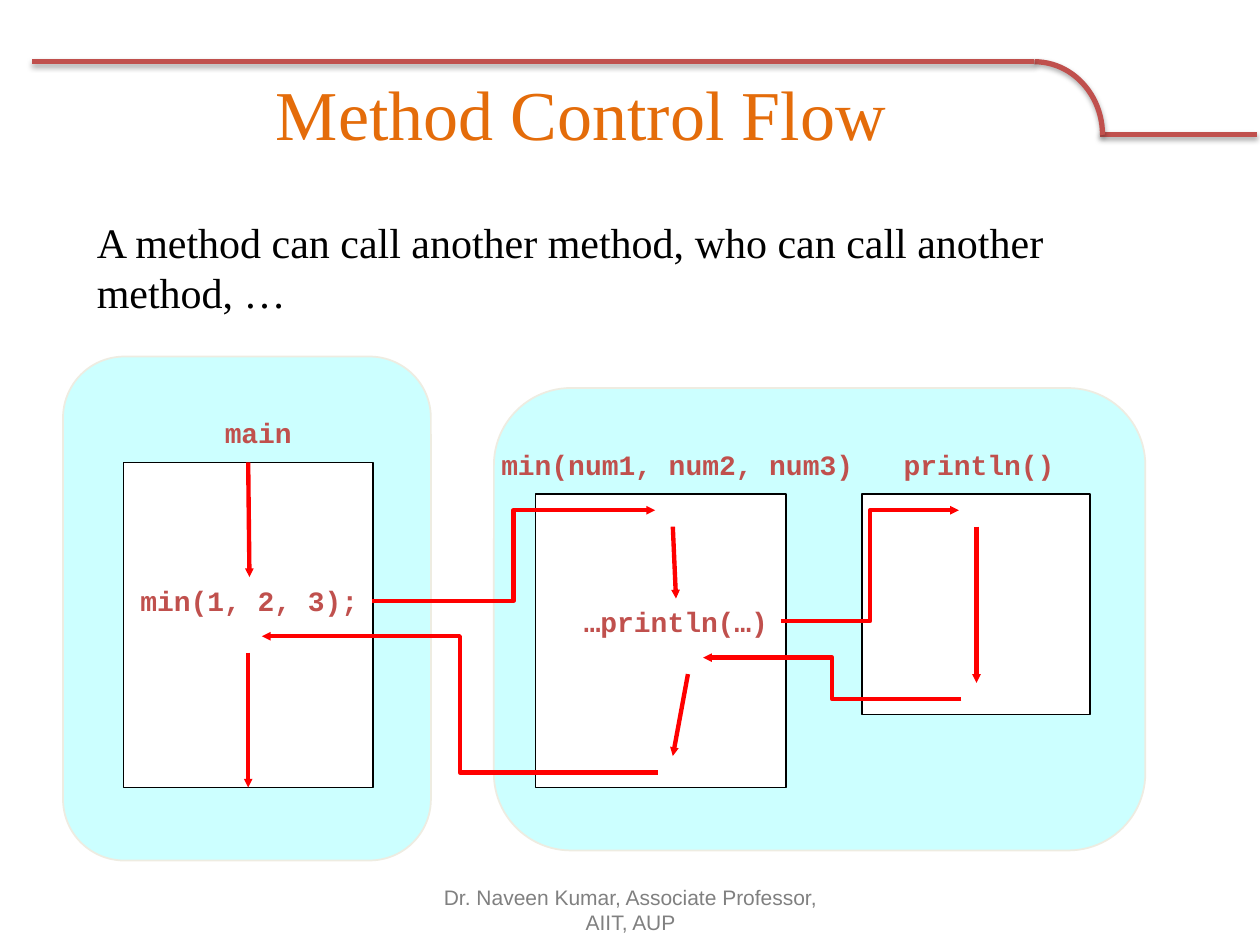
from dataclasses import dataclass

from lxml import etree
from pptx import Presentation
from pptx.dml.color import RGBColor
from pptx.enum.shapes import MSO_CONNECTOR, MSO_SHAPE
from pptx.enum.text import MSO_ANCHOR, PP_ALIGN
from pptx.oxml import parse_xml
from pptx.oxml.ns import nsdecls, qn
from pptx.util import Pt

STRAIGHT, ELBOW = MSO_CONNECTOR.STRAIGHT, MSO_CONNECTOR.ELBOW
ARC, RECT, PANEL = MSO_SHAPE.ARC, MSO_SHAPE.RECTANGLE, MSO_SHAPE.FLOWCHART_ALTERNATE_PROCESS
TOP, MIDDLE = MSO_ANCHOR.TOP, MSO_ANCHOR.MIDDLE
LEFT, CENTER = PP_ALIGN.LEFT, PP_ALIGN.CENTER
SITE_TOP, SITE_BOTTOM = 0, 2
EMU_PER_PX = 9144


@dataclass(frozen=True)
class Font:
    name: str
    size: int
    color: str
    bold: bool = False


@dataclass(frozen=True)
class Theme:
    rule: str = "C0504D"
    panel: str = "CCFFFF"
    panel_line: str = "EEECE1"
    frame: str = "FFFFFF"
    frame_line: str = "000000"
    flow: str = "FF0000"
    title: Font = Font("Times New Roman", 40, "E46C0A")
    body: Font = Font("Times New Roman", 24, "000000")
    code: Font = Font("Courier New", 16, "C0504D", True)
    footer: Font = Font("Arial", 12, "808080")


THEME = Theme()


def px(*values):
    return [v * EMU_PER_PX for v in values]


def rgb(value):
    return RGBColor.from_string(value)


def set_line(shape, color, width):
    shape.line.color.rgb = rgb(color)
    shape.line.width = Pt(width)


def add_box(s, kind, x, y, w, h, fill, line):
    shape = s.shapes.add_shape(kind, *px(x, y, w, h))
    shape.shadow.inherit = False
    shape.fill.solid()
    shape.fill.fore_color.rgb = rgb(fill)
    set_line(shape, line, 1)
    return shape


def add_text(s, text, font, x, y, w, h, align=CENTER, anchor=MIDDLE, wrap=True):
    tb = s.shapes.add_textbox(*px(x, y, w, h))
    tf = tb.text_frame
    tf.word_wrap = wrap
    tf.vertical_anchor = anchor
    p = tf.paragraphs[0]
    p.text = text
    p.alignment = align
    p.font.name = font.name
    p.font.size = Pt(font.size)
    p.font.bold = font.bold
    p.font.color.rgb = rgb(font.color)
    return tb


def add_code(s, text, x, y, w):
    return add_text(s, text, THEME.code, x, y, w, 37, wrap=False)


def add_line(s, kind, x1, y1, x2, y2, color, width):
    line = s.shapes.add_connector(kind, *px(x1, y1, x2, y2))
    set_line(line, color, width)
    etree.SubElement(line._element.spPr, qn("a:effectLst"))
    return line


def add_arrow(s, kind, x1, y1, x2, y2):
    arrow = add_line(s, kind, x1, y1, x2, y2, THEME.flow, 2.5)
    tail = etree.SubElement(arrow.line._get_or_add_ln(), qn("a:tailEnd"))
    for key, value in (("type", "triangle"), ("w", "sm"), ("len", "sm")):
        tail.set(key, value)
    return arrow


def add_shadow(shape):
    effects = shape._element.spPr.find(qn("a:effectLst"))
    effects.append(parse_xml(
        f'<a:outerShdw {nsdecls("a")} blurRad="{Pt(3.1)}" dist="{Pt(1.8)}" dir="5400000" '
        'rotWithShape="0"><a:srgbClr val="000000"><a:alpha val="35000"/></a:srgbClr></a:outerShdw>'))


def header(s, x, y, w, h):
    bend, step = x + 796, y + h
    right = add_line(s, STRAIGHT, x + 848, step, x + w, step, THEME.rule, 3)
    arc = s.shapes.add_shape(ARC, *px(bend - 54, y, 108, 2 * h))
    arc.shadow.inherit = False
    arc.fill.background()
    set_line(arc, THEME.rule, 3)
    left = add_line(s, STRAIGHT, bend, y, x, y, THEME.rule, 3)
    for part in (right, arc, left):
        add_shadow(part)
    add_text(s, "Method Control Flow", THEME.title, x + 32, y + 4, 808, 72)


def callee_panel(s, x, y, w, h):
    add_box(s, PANEL, x, y, w, h, THEME.panel, THEME.panel_line)
    for dx, width, height in ((33, 199, 233), (292, 181, 175)):
        add_box(s, RECT, x + dx, y + 84, width, height, THEME.frame, THEME.frame_line)
    add_code(s, "min(num1, num2, num3)", x - 5, y + 42, 301)
    add_code(s, "println()", x + 315, y + 42, 140)
    call = add_code(s, "…println(…)", x + 61, y + 167, 167)

    add_arrow(s, STRAIGHT, x + 383, y + 110, x + 383, y + 234)
    enter = add_arrow(s, STRAIGHT, x + 142, y + 110, x + 144, y + 167)
    enter.end_connect(call, SITE_TOP)
    add_arrow(s, STRAIGHT, x + 154, y + 227, x + 142, y + 292)
    add_arrow(s, ELBOW, x + 228, y + 185, x + 369, y + 97)
    add_arrow(s, ELBOW, x + 371, y + 247, x + 166, y + 214)


def main_panel(s, x, y, w, h):
    add_box(s, PANEL, x, y, w, h, THEME.panel, THEME.panel_line)
    frame = add_box(s, RECT, x + 48, y + 84, 198, 258, THEME.frame, THEME.frame_line)
    call = add_code(s, "min(1, 2, 3);", x + 51, y + 175, 194)
    add_code(s, "main", x + 118, y + 42, 74)

    enter = add_arrow(s, STRAIGHT, x + 146, y + 84, x + 148, y + 175)
    enter.begin_connect(frame, SITE_TOP)
    enter.end_connect(call, SITE_TOP)
    leave = add_arrow(s, STRAIGHT, x + 147, y + 235, x + 147, y + 342)
    leave.end_connect(frame, SITE_BOTTOM)


def panel_links(s, x, y, w, h):
    add_arrow(s, ELBOW, x + 245, y + 194, x + 470, y + 122)
    add_arrow(s, ELBOW, x + 472, y + 330, x + 158, y + 222)


def main():
    prs = Presentation()
    prs.slide_width, prs.slide_height = px(1000, 750)
    s = prs.slides.add_slide(prs.slide_layouts[6])
    header(s, 25, 49, 973, 58)
    add_text(s, "A method can call another method, who can call another method, …",
             THEME.body, 67, 167, 850, 100, LEFT, TOP)
    callee_panel(s, 392, 308, 517, 367)
    main_panel(s, 50, 283, 292, 400)
    panel_links(s, 50, 283, 859, 400)
    add_text(s, "Dr. Naveen Kumar, Associate Professor, AIIT, AUP",
             THEME.footer, 342, 702, 317, 40)
    prs.save("out.pptx")


if __name__ == "__main__":
    main()
